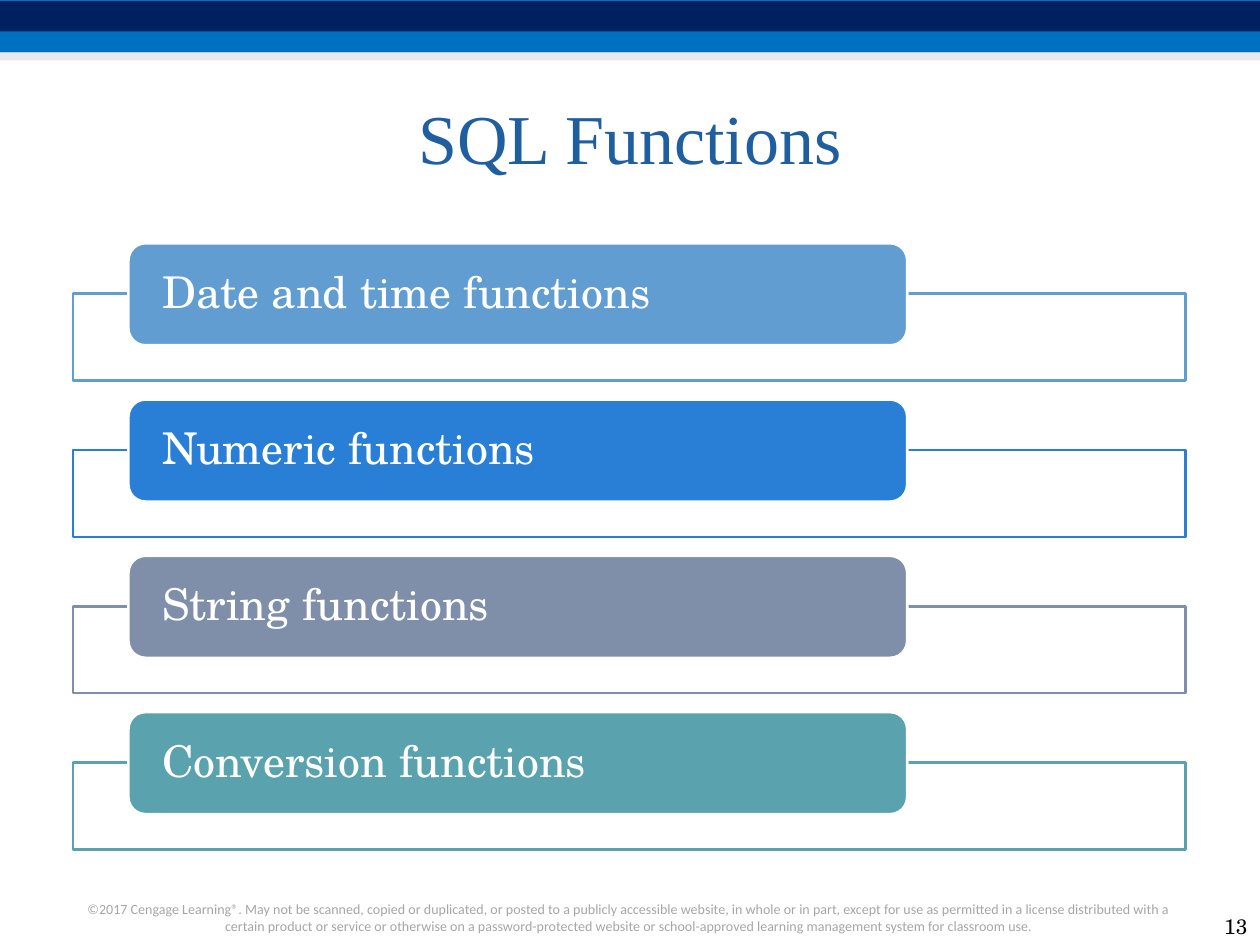
from lxml import etree
from pptx import Presentation
from pptx.dml.color import RGBColor
from pptx.enum.shapes import MSO_SHAPE
from pptx.enum.text import MSO_ANCHOR, PP_ALIGN
from pptx.oxml.ns import qn
from pptx.util import Pt

RECT, ROUNDED = MSO_SHAPE.RECTANGLE, MSO_SHAPE.ROUNDED_RECTANGLE
TOP, MIDDLE, BOTTOM = MSO_ANCHOR.TOP, MSO_ANCHOR.MIDDLE, MSO_ANCHOR.BOTTOM
LEFT, CENTER, RIGHT = PP_ALIGN.LEFT, PP_ALIGN.CENTER, PP_ALIGN.RIGHT

COPYRIGHT = (
    "©2017 Cengage Learning®. May not be scanned, copied or duplicated, or posted to a "
    "publicly accessible website, in whole or in part, except for use as permitted in a "
    "license distributed with a certain product or service or otherwise on a "
    "password-protected website or school-approved learning management system for "
    "classroom use."
)
FUNCTION_GROUPS = [
    ("Date and time functions", "629DD1"),
    ("Numeric functions", "297FD5"),
    ("String functions", "7F8FA9"),
    ("Conversion functions", "5AA2AE"),
]


def color(hex_code):
    return RGBColor.from_string(hex_code)


class SlideBuilder:
    """Draws styled elements on the current slide, with lengths in points."""

    body_font = "TeX Gyre Schola"
    title_font = "Times New Roman"
    footer_font = "Calibri"
    line_width = 1.5

    def __init__(self, slide):
        self.slide = slide

    def box(self, kind, left, top, width, height, fill, line=None, opacity=100):
        shape = self.slide.shapes.add_shape(kind, Pt(left), Pt(top), Pt(width), Pt(height))
        shape.shadow.inherit = False
        shape.fill.solid()
        shape.fill.fore_color.rgb = color(fill)
        if opacity < 100:
            fill_color = shape.fill._xPr.find(qn("a:solidFill"))[0]
            etree.SubElement(fill_color, qn("a:alpha"), val=str(opacity * 1000))
        if line:
            shape.line.color.rgb = color(line)
            shape.line.width = Pt(self.line_width)
        else:
            shape.line.fill.background()
        return shape

    def label(self, shape, words, size, font, ink, align, anchor):
        frame = shape.text_frame
        frame.word_wrap = True
        frame.vertical_anchor = anchor
        frame.text = words
        paragraph = frame.paragraphs[0]
        paragraph.alignment = align
        style = paragraph.runs[0].font
        style.size, style.name = Pt(size), font
        style.color.rgb = color(ink)
        return paragraph

    def text(self, left, top, width, height, words, size, font, ink, align, anchor):
        area = self.slide.shapes.add_textbox(Pt(left), Pt(top), Pt(width), Pt(height))
        self.label(area, words, size, font, ink, align, anchor)

    def function_group(self, top, group_name, accent):
        self.box(RECT, 41.8, top + 28.8, 635.8, 49.7, "FFFFFF", accent, 90)
        tab = self.box(ROUNDED, 73.4, top, 445, 58.3, accent, "FFFFFF")
        paragraph = self.label(tab, group_name, 25, self.body_font, "FFFFFF", LEFT, MIDDLE)
        paragraph.line_spacing = 0.9
        frame = tab.text_frame
        frame.margin_left = frame.margin_right = Pt(16.6)
        frame.margin_top = frame.margin_bottom = Pt(0)


def main():
    deck = Presentation()
    deck.slide_width, deck.slide_height = Pt(720), Pt(540)
    builder = SlideBuilder(deck.slides.add_slide(deck.slide_layouts[6]))

    builder.box(RECT, 0, 0, 720, 30, "0070C0")
    builder.box(RECT, 0, 0.7, 720, 17.3, "002060")
    builder.box(RECT, 0, 30, 720, 4.5, "D8D3D9", opacity=50)
    builder.text(41.8, 511.2, 635.8, 26.6, COPYRIGHT, 8, builder.footer_font,
                 "A6A6A6", CENTER, TOP)
    builder.text(36, 36, 648, 84.2, "SQL Functions", 40, builder.title_font,
                 "1F5FA0", CENTER, MIDDLE)
    for row, (group_name, accent) in enumerate(FUNCTION_GROUPS):
        builder.function_group(139 + row * 89.3, group_name, accent)
    builder.text(684, 516.2, 36, 23.8, "13", 12, builder.body_font,
                 "000000", RIGHT, BOTTOM)

    deck.save("out.pptx")


if __name__ == "__main__":
    main()
